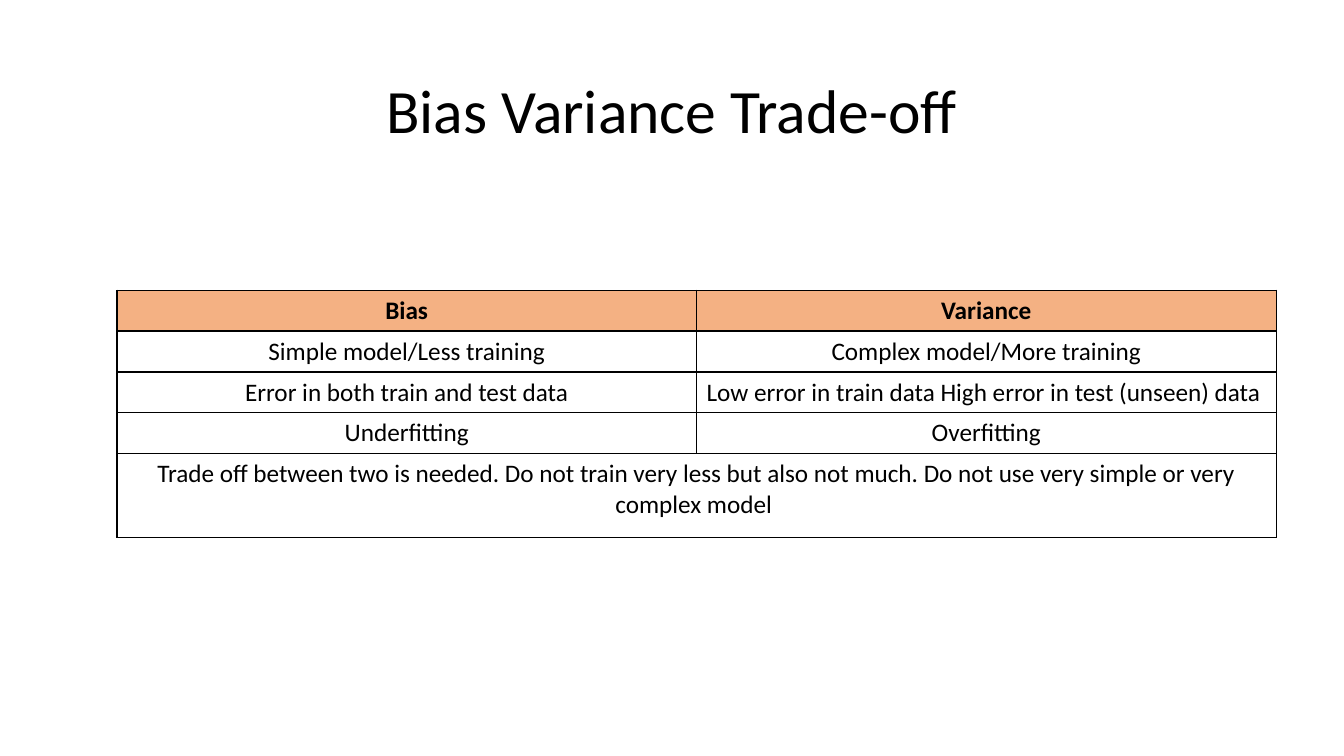
"""Build the slide that sets bias against variance in a table."""
from dataclasses import dataclass

from lxml import etree
from pptx import Presentation
from pptx import util as u
from pptx.dml import color
from pptx.enum import text
from pptx.oxml import ns

Pt = u.Pt
Rgb = color.RGBColor
Align = text.PP_ALIGN


@dataclass(frozen=True)
class Theme:
    font: str = "Calibri"
    ink: str = "000000"
    head: str = "F4B183"
    title: int = 44
    body: int = 18
    rule: int = 1


@dataclass(frozen=True)
class Box:
    left: float
    top: float
    width: float
    height: float

    def args(self) -> tuple:
        return tuple(Pt(v) for v in (self.left, self.top, self.width, self.height))


@dataclass(frozen=True)
class Row:
    texts: tuple
    height: float = 29.25
    head: bool = False
    aligns: tuple = (Align.CENTER, Align.CENTER)


THEME = Theme()
TITLE = Box(66, 28.75, 828, 104.4)
ROWS = (
    Row(("Bias", "Variance"), head=True),
    Row(("Simple model/Less training", "Complex model/More training")),
    Row(("Error in both train and test data",
         "Low error in train data High error in test (unseen) data"),
        aligns=(Align.CENTER, Align.LEFT)),
    Row(("Underfitting", "Overfitting")),
    Row(("Trade off between two is needed. Do not train very less but also "
         "not much. Do not use very simple or very complex model ",), height=59.5),
)
COLS = 2
GRID = Box(83.5, 207.25, 828, sum(row.height for row in ROWS))


def style(para, size: int, align, bold: bool = False) -> None:
    para.alignment = align
    font = para.font
    font.name, font.size, font.bold = THEME.font, Pt(size), bold
    font.color.rgb = Rgb.from_string(THEME.ink)


def edge(cell) -> None:
    props = cell._tc.get_or_add_tcPr()
    for side in "LRTB":
        line = etree.SubElement(props, ns.qn(f"a:ln{side}"), w=str(Pt(THEME.rule)))
        fill = etree.SubElement(line, ns.qn("a:solidFill"))
        etree.SubElement(fill, ns.qn("a:srgbClr"), val=THEME.ink)


def paint(cell, head: bool) -> None:
    edge(cell)
    if head:
        cell.fill.solid()
        cell.fill.fore_color.rgb = Rgb.from_string(THEME.head)
    else:
        cell.fill.background()


def add_title(slide, label: str) -> None:
    title = slide.shapes.title
    title.left, title.top, title.width, title.height = TITLE.args()
    frame = title.text_frame
    frame.text = label
    frame.vertical_anchor = text.MSO_ANCHOR.MIDDLE
    para = frame.paragraphs[0]
    para.line_spacing = 0.9
    style(para, THEME.title, Align.CENTER)


def add_grid(slide) -> None:
    table = slide.shapes.add_table(len(ROWS), COLS, *GRID.args()).table
    table.horz_banding = False
    for col in table.columns:
        col.width = Pt(GRID.width / COLS)
    for r, row in enumerate(ROWS):
        table.rows[r].height = Pt(row.height)
        for c in range(COLS):
            paint(table.cell(r, c), row.head)
        if len(row.texts) < COLS:
            table.cell(r, 0).merge(table.cell(r, COLS - 1))
        for c, (label, align) in enumerate(zip(row.texts, row.aligns)):
            cell = table.cell(r, c)
            cell.text = label
            style(cell.text_frame.paragraphs[0], THEME.body, align, row.head)


def main() -> None:
    deck = Presentation()
    deck.slide_width, deck.slide_height = Pt(960), Pt(540)
    slide = deck.slides.add_slide(deck.slide_layouts[5])
    add_title(slide, "Bias Variance Trade-off")
    add_grid(slide)
    deck.save("out.pptx")


if __name__ == "__main__":
    main()
